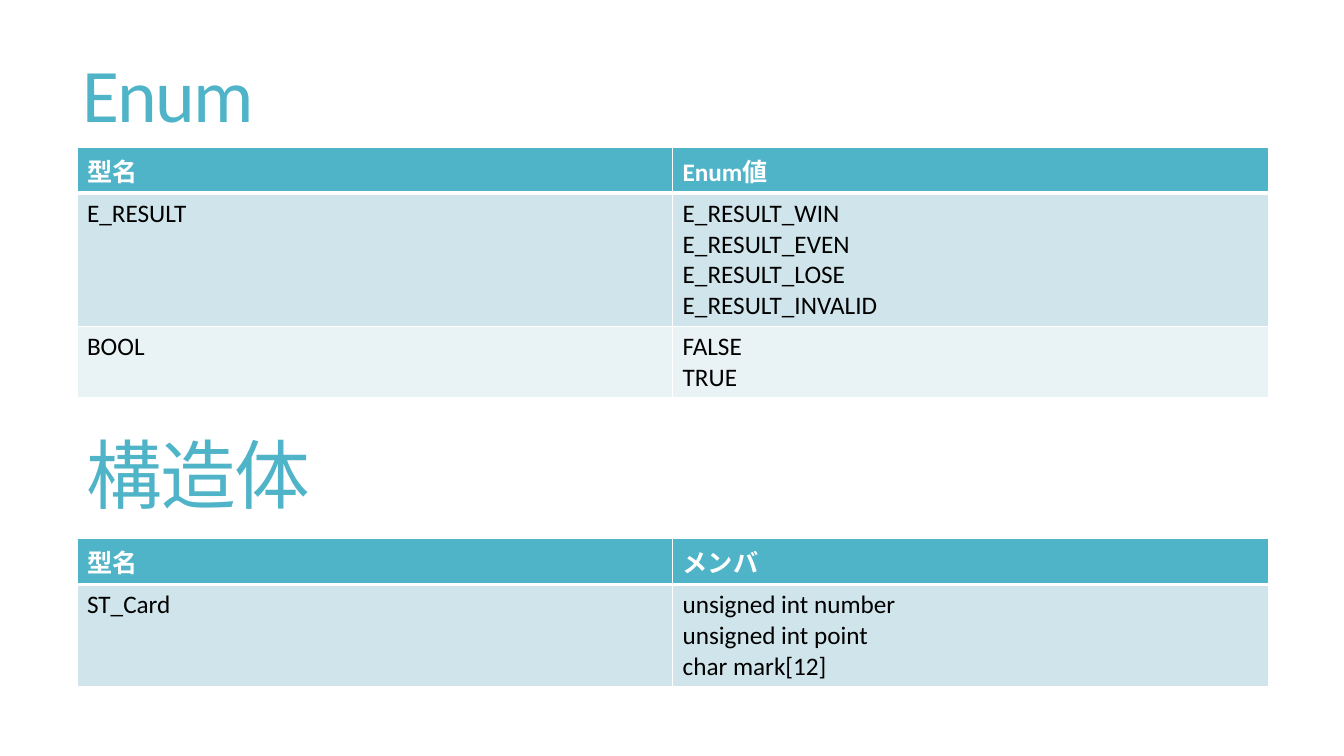
from pptx import Presentation
from pptx.dml.color import RGBColor
from pptx.enum.text import MSO_ANCHOR
from pptx.oxml import parse_xml
from pptx.oxml.ns import nsdecls
from pptx.util import Cm, Pt

FONT = "Calibri"
TEAL, WHITE, BLACK = "50B4C8", "FFFFFF", "000000"
BANDS = ["D0E5EB", "E9F2F5"]
HEADER_H, LINE_H, CELL_PAD = 1.16, 0.775, 0.25


def color(hex_str):
    return RGBColor.from_string(hex_str)


def style(p, size, hex_str, bold=False):
    p.font.name = FONT
    p.font.size = Pt(size)
    p.font.bold = bold
    p.font.color.rgb = color(hex_str)


def set_border(cell, side, width):
    # Borders must come before the fill in the cell properties
    ln = parse_xml(
        f'<a:{side} {nsdecls("a")} w="{Pt(width)}"><a:solidFill>'
        f'<a:srgbClr val="{WHITE}"/></a:solidFill></a:{side}>')
    cell._tc.get_or_add_tcPr().append(ln)


def fill_cell(cell, text, row):
    header = row == 0
    for side in ("lnL", "lnR", "lnT", "lnB"):
        thick = (header and side == "lnB") or (row == 1 and side == "lnT")
        set_border(cell, side, 3 if thick else 1)
    cell.fill.solid()
    cell.fill.fore_color.rgb = color(TEAL if header else BANDS[(row - 1) % 2])
    cell.text = text
    for p in cell.text_frame.paragraphs:
        style(p, 18, WHITE if header else BLACK, header)


def add_title(s, text, x, y, w, h):
    tf = s.shapes.add_textbox(Cm(x), Cm(y), Cm(w), Cm(h)).text_frame
    tf.word_wrap = True
    tf.vertical_anchor = MSO_ANCHOR.TOP
    p = tf.paragraphs[0]
    p.line_spacing = 0.85
    r = p.add_run()
    r.text = text
    style(p, 54, TEAL)
    r.font._element.set("spc", "-120")


def add_type_table(s, rows, x, y, w):
    heights = [HEADER_H] + [CELL_PAD + LINE_H * len(members.split("\n"))
                            for _, members in rows[1:]]
    table = s.shapes.add_table(len(rows), 2, Cm(x), Cm(y), Cm(w),
                               Cm(sum(heights))).table
    for i, (row, height) in enumerate(zip(rows, heights)):
        table.rows[i].height = Cm(height)
        for j, text in enumerate(row):
            fill_cell(table.cell(i, j), text, i)


def main():
    prs = Presentation()
    prs.slide_width, prs.slide_height = Cm(33.87), Cm(19.05)
    s = prs.slides.add_slide(prs.slide_layouts[6])

    # Enumerations
    add_title(s, "Enum", 1.83, 1.4, 29.92, 1.75)
    add_type_table(s, [
        ("型名", "Enum値"),
        ("E_RESULT", "E_RESULT_WIN\nE_RESULT_EVEN\nE_RESULT_LOSE\nE_RESULT_INVALID"),
        ("BOOL", "FALSE\nTRUE"),
    ], 1.94, 3.71, 30.02)

    # Structures
    add_title(s, "構造体", 1.94, 11.02, 29.92, 1.75)
    add_type_table(s, [
        ("型名", "メンバ"),
        ("ST_Card", "unsigned int number\nunsigned int point\nchar mark[12]"),
    ], 1.94, 13.57, 30.02)

    prs.save("out.pptx")


if __name__ == "__main__":
    main()
